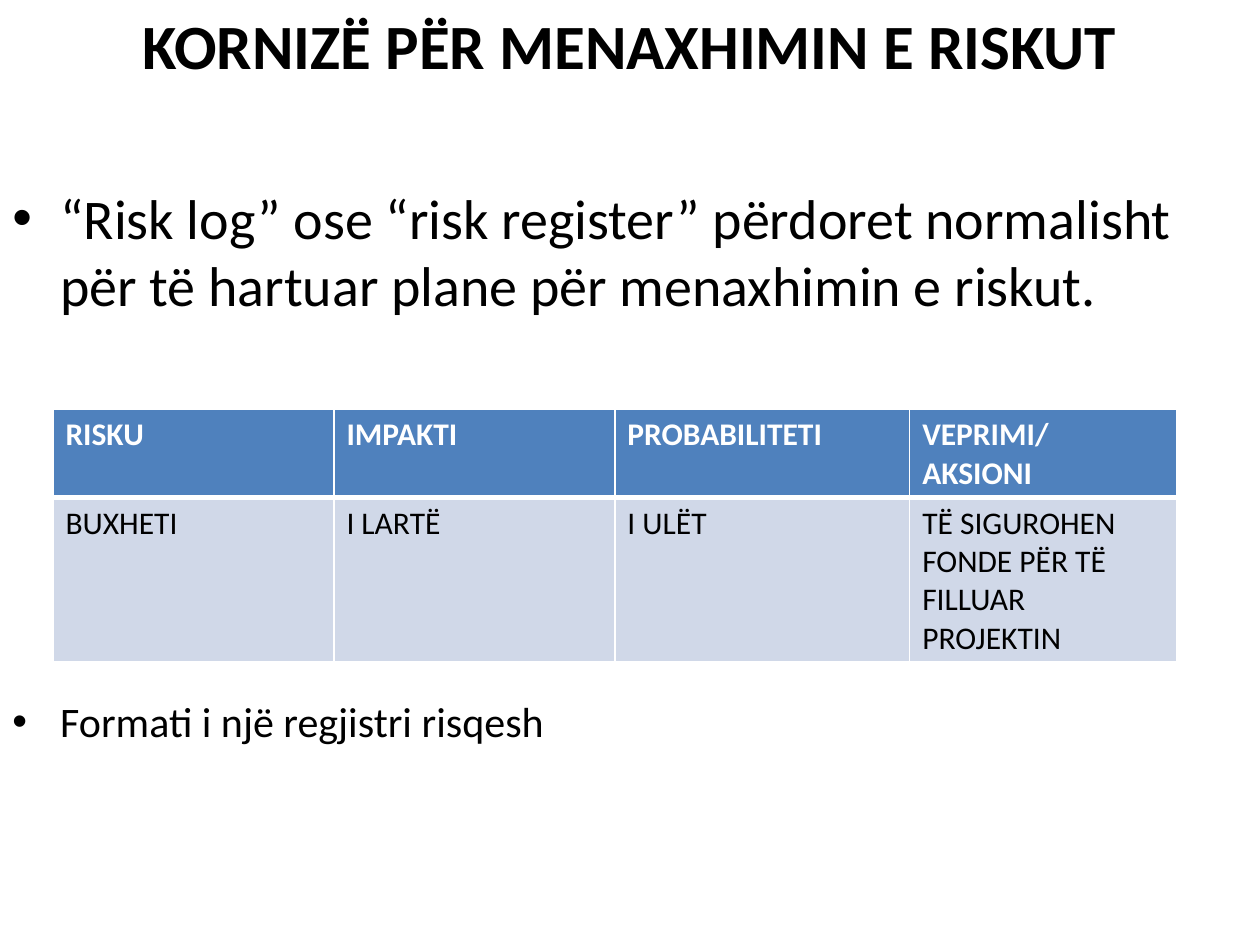
import pptx
import pptx.util
import pptx.dml.color
import pptx.enum.text
import pptx.oxml
from pptx.util import Inches
from pptx.oxml.ns import nsdecls


def color(value):
    return pptx.dml.color.RGBColor.from_string(value)


def style_runs(paragraph, size, text_color, bold):
    for run in paragraph.runs:
        run.font.name = "Calibri"
        run.font.size = pptx.util.Pt(size)
        run.font.bold = bold
        run.font.color.rgb = color(text_color)


presentation = pptx.Presentation()
presentation.slide_width = Inches(10)
presentation.slide_height = Inches(7.5)
slide = presentation.slides.add_slide(presentation.slide_layouts[6])

# Title and bullets share one full-slide text box
text_box = slide.shapes.add_textbox(0, 0, Inches(10), Inches(7.5))
text_frame = text_box.text_frame
text_frame.word_wrap = True

# text, size, space before, is title
lines = [
    ("KORNIZË PËR MENAXHIMIN E RISKUT", 36, 0, True),
    ("“Risk log” ose “risk register” përdoret normalisht për të hartuar "
     "plane për menaxhimin e riskut.", 32, 58, False),
    ("Formati i një regjistri risqesh", 24, 216, False),
]
for index, (text, size, space_before, is_title) in enumerate(lines):
    paragraph = text_frame.paragraphs[0] if index == 0 else text_frame.add_paragraph()
    paragraph.text = text
    paragraph.space_before = pptx.util.Pt(space_before)
    properties = paragraph._p.get_or_add_pPr()
    properties.set("marL", str(Inches(0.38)))
    properties.set("indent", str(Inches(-0.38)))
    if is_title:
        paragraph.alignment = pptx.enum.text.PP_ALIGN.CENTER
    else:
        for bullet in ('<a:buFont %s typeface="Arial"/>', '<a:buChar %s char="•"/>'):
            properties.append(pptx.oxml.parse_xml(bullet % nsdecls("a")))
    style_runs(paragraph, size, "000000", is_title)

# Risk register table
rows = [
    ["RISKU", "IMPAKTI", "PROBABILITETI", "VEPRIMI/ AKSIONI"],
    ["BUXHETI", "I LARTË", "I ULËT", "TË SIGUROHEN FONDE PËR TË FILLUAR PROJEKTIN"],
]
row_heights = [0.7, 1.3]
column_widths = [2.23, 2.23, 2.34, 2.12]
table = slide.shapes.add_table(
    len(rows), len(column_widths), Inches(0.42), Inches(3.25),
    Inches(sum(column_widths)), Inches(sum(row_heights))).table
for column, width in zip(table.columns, column_widths):
    column.width = Inches(width)

for row_index, texts in enumerate(rows):
    is_header = row_index == 0
    table.rows[row_index].height = Inches(row_heights[row_index])
    for column_index, text in enumerate(texts):
        cell = table.cell(row_index, column_index)
        cell.text_frame.text = text
        style_runs(cell.text_frame.paragraphs[0], 18,
                   "FFFFFF" if is_header else "000000", is_header)

        # White borders, with a thick rule between header and body
        cell_properties = cell._tc.get_or_add_tcPr()
        for side in "LRTB":
            thick = side == ("B" if is_header else "T")
            cell_properties.append(pptx.oxml.parse_xml(
                f'<a:ln{side} {nsdecls("a")} w="{pptx.util.Pt(3 if thick else 1)}">'
                '<a:solidFill><a:srgbClr val="FFFFFF"/></a:solidFill>'
                f'</a:ln{side}>'))
        cell.fill.solid()
        cell.fill.fore_color.rgb = color("4F81BD" if is_header else "D0D8E8")

presentation.save("out.pptx")
